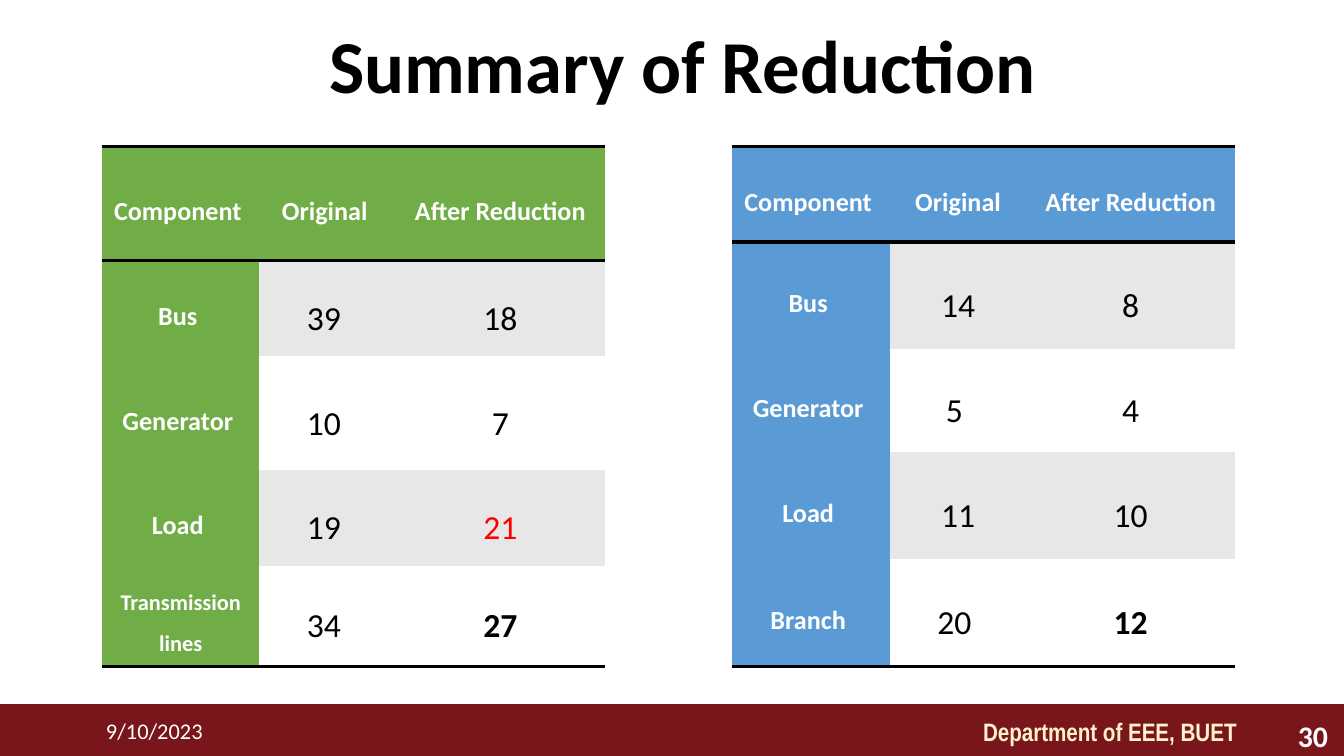
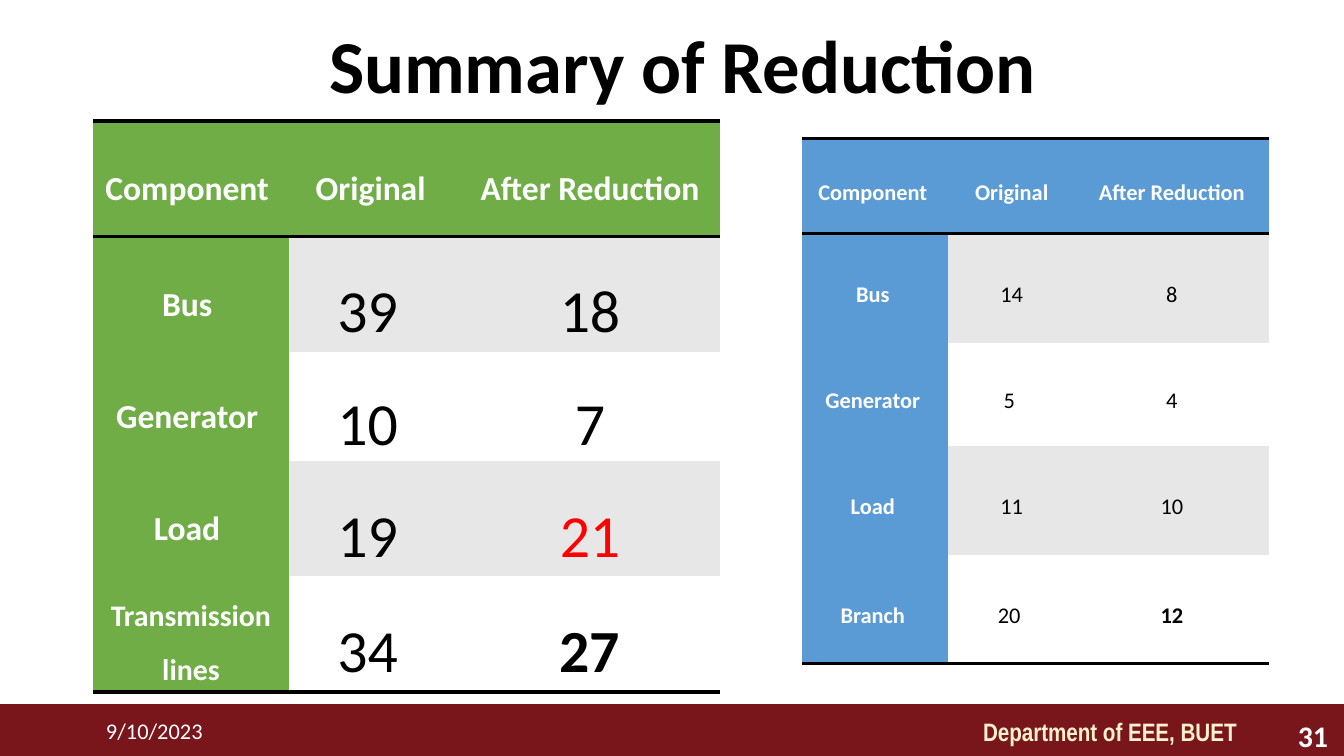
"""Build two slides that sum up the size of networks before and after reduction."""
from lxml.etree import SubElement, fromstring
from pptx import Presentation
from pptx.dml.color import RGBColor
from pptx.enum.shapes import MSO_SHAPE
from pptx.enum.text import MSO_ANCHOR, PP_ALIGN
from pptx.oxml.ns import qn
from pptx.util import Inches, Pt

UNIT = Inches(0.1)
COLS, ROWS = 100, 56.25
INK = {
    "band": "78161B", "cream": "FFF2CC", "white": "FFFFFF", "black": "000000",
    "green": "70AD47", "blue": "5B9BD5", "gray": "E7E7E7", "red": "FF0000",
}
FONT = "Calibri"
SHARES = (0.313, 0.272, 0.415)
PLAIN = "{2D5ABB26-0587-4C30-8999-92F81FD0307C}"
HEAD = "Component "
LARGE = [
    (HEAD, "Original ", "After Reduction"),
    ("Bus ", "39 ", "18"),
    ("Generator ", "10 ", "7"),
    ("Load ", "19 ", "21"),
    ("Transmission lines", "34 ", "27"),
]
SMALL = [
    (HEAD, "Original", "After Reduction"),
    ("Bus ", "14", "8"),
    ("Generator ", "5 ", "4"),
    ("Load ", "11", "10"),
    ("Branch ", "20 ", "12"),
]
GREEN = {"data": LARGE, "hue": "green", "after": 8, "alert": (3, 2)}
BLUE = {"data": SMALL, "hue": "blue", "after": 0, "alert": None}
PAGES = [
    (30, [
        (GREEN, (7.6, 10.9, 37.4), (8.5, 7.1, 8.5, 7.1, 7.5), (14, 18, 12)),
        (BLUE, (54.5, 10.9, 37.4), (7.1, 8, 7.6, 8, 8), (14, 18, 14)),
    ]),
    (31, [
        (GREEN, (6.9, 9, 46.7), (8.6, 8.6, 8.1, 8.6, 8.6), (18, 32, 16)),
        (BLUE, (59.7, 10.3, 34.7), (7.1, 8.1, 7.7, 8.1, 8.1), (12, 12, 12)),
    ]),
]


def tint(name):
    """Return the colour with this name."""
    return RGBColor.from_string(INK[name])


def span(*cells):
    """Turn grid cells into lengths."""
    return [round(cell * UNIT) for cell in cells]


def write(para, text, size, hue, bold=False, font=FONT):
    """Add one styled run to a paragraph."""
    run = para.add_run()
    run.text = text
    run.font.name, run.font.size, run.font.bold = font, Pt(size), bold
    run.font.color.rgb = tint(hue)


def label(slide, box, text, size, hue, align=PP_ALIGN.LEFT, **style):
    """Place a text box of one line and return its frame."""
    frame = slide.shapes.add_textbox(*span(*box)).text_frame
    frame.word_wrap = True
    frame.paragraphs[0].alignment = align
    write(frame.paragraphs[0], text, size, hue, **style)
    return frame


def title(slide, box):
    """Place the slide title."""
    frame = label(slide, box, "Summary of Reduction", 40, "black", bold=True)
    frame.vertical_anchor = MSO_ANCHOR.MIDDLE
    frame.paragraphs[0].line_spacing = 0.9


def footer(slide, box, page):
    """Draw the band with the date, the department and the page number."""
    left, top, width, _ = box
    band = slide.shapes.add_shape(MSO_SHAPE.RECTANGLE, *span(*box))
    band.shadow.inherit = False
    band.fill.solid()
    band.fill.fore_color.rgb = tint("band")
    band.line.fill.background()
    label(slide, (left + 0.639 * width, top + 0.4, 0.291 * width, 3.3),
          "Department of EEE, BUET", 13.5, "cream", PP_ALIGN.RIGHT,
          bold=True, font="Arial Narrow")
    label(slide, (left + 0.069 * width, top + 0.5, 0.225 * width, 3),
          "9/10/2023", 12, "white")
    label(slide, (left + 0.943 * width, top + 0.5, 0.055 * width, 3),
          str(page), 16, "white", PP_ALIGN.RIGHT, bold=True)


def rule(cell, sides):
    """Draw black rules on the given sides of a cell."""
    props = cell._tc.get_or_add_tcPr()
    for spot, side in enumerate(sides):
        line = fromstring(f'<a:ln{side} xmlns:a="{props.nsmap["a"]}" w="{Pt(2)}"/>')
        fill = SubElement(line, qn("a:solidFill"))
        SubElement(fill, qn("a:srgbClr"), val=INK["black"])
        props.insert(spot, line)


def fill(cell, text, size, hue, ground, bold, after):
    """Set the ground and the centred text of a cell."""
    cell.fill.solid()
    cell.fill.fore_color.rgb = tint(ground)
    cell.vertical_anchor = MSO_ANCHOR.MIDDLE
    cell.margin_left = cell.margin_right = Inches(0.07)
    cell.margin_top = cell.margin_bottom = 0
    para = cell.text_frame.paragraphs[0]
    para.alignment, para.line_spacing = PP_ALIGN.CENTER, 1.5
    para.space_after = Pt(after)
    write(para, text, size, hue, bold)


def chart(slide, kind, spot, highs, sizes):
    """Place a table of counts before and after reduction."""
    left, top, width = spot
    data, last = kind["data"], len(kind["data"]) - 1
    name, count, final = sizes
    grid = slide.shapes.add_table(
        len(data), len(SHARES), *span(left, top, width, sum(highs))).table
    grid.first_row = grid.horz_banding = False
    grid._tbl.tblPr.find(qn("a:tableStyleId")).text = PLAIN
    for col, share in zip(grid.columns, SHARES):
        col.width = round(share * width * UNIT)
    for row, (line, high) in enumerate(zip(data, highs)):
        grid.rows[row].height = round(high * UNIT)
        for col, text in enumerate(line):
            cell = grid.cell(row, col)
            if row == 0 or col == 0:
                size = final if row == last else name
                fill(cell, text, size, "white", kind["hue"], True, kind["after"])
            else:
                hue = "red" if (row, col) == kind["alert"] else "black"
                ground = "gray" if row % 2 else "white"
                bold = (row, col) == (last, 2)
                fill(cell, text, count, hue, ground, bold, kind["after"])
            rule(cell, {0: "TB", last: "B"}.get(row, ""))


def main():
    """Build and save the deck."""
    deck = Presentation()
    deck.slide_width, deck.slide_height = span(COLS, ROWS)
    for page, tables in PAGES:
        slide = deck.slides.add_slide(deck.slide_layouts[6])
        footer(slide, (0, 52.4, COLS, ROWS - 52.4), page)
        title(slide, (23.5, 1.3, 55, 7.7))
        for table in tables:
            chart(slide, *table)
    deck.save("out.pptx")


if __name__ == "__main__":
    main()
